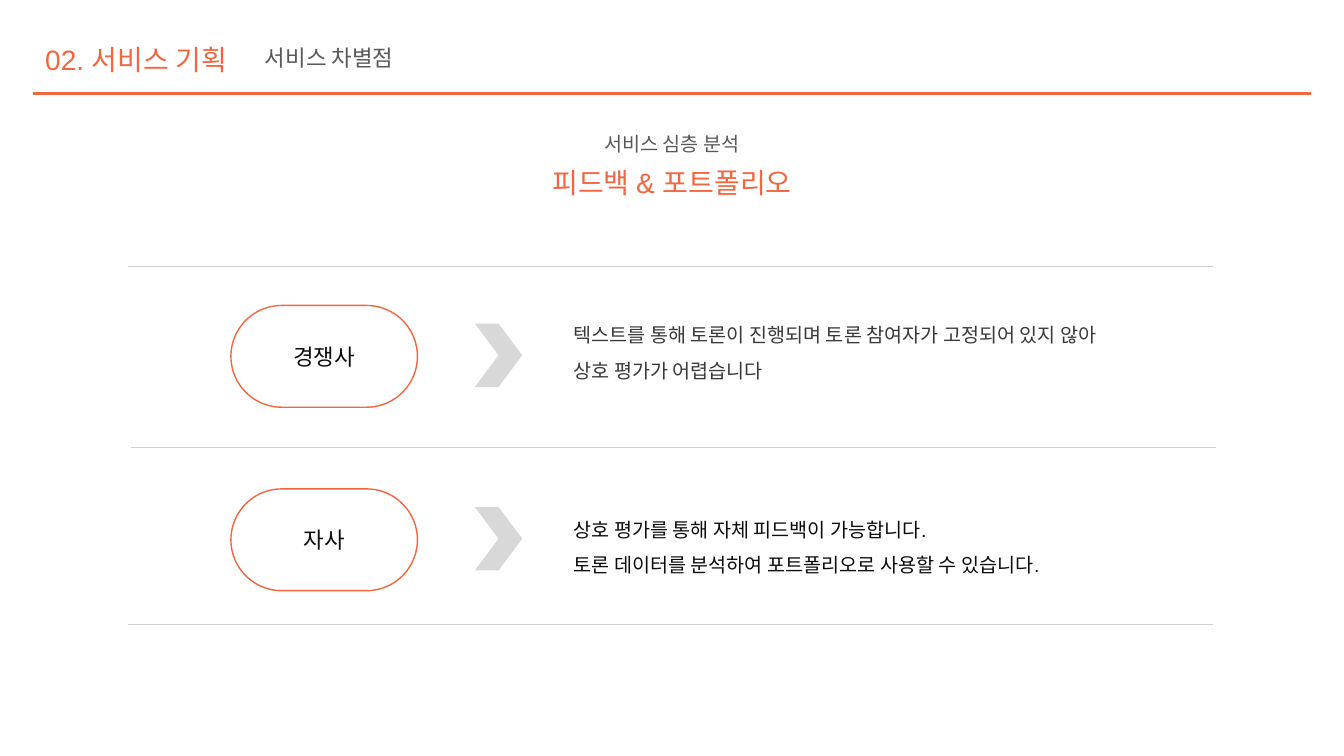
from lxml import etree
from pptx import Presentation
from pptx.dml.color import RGBColor
from pptx.enum.shapes import MSO_CONNECTOR, MSO_SHAPE
from pptx.enum.text import MSO_ANCHOR, MSO_AUTO_SIZE, PP_ALIGN
from pptx.oxml.ns import qn
from pptx.util import Inches, Pt

ORANGE = RGBColor(0xF2, 0x66, 0x40)
GREY = RGBColor(0x59, 0x59, 0x59)
DARK_GREY = RGBColor(0x3A, 0x38, 0x38)
NEAR_BLACK = RGBColor(0x0C, 0x0C, 0x0C)
RULE_GREY = RGBColor(0xD0, 0xCE, 0xCE)
CHEVRON_GREY = RGBColor(0xD8, 0xD8, 0xD8)

STRAIGHT = MSO_CONNECTOR.STRAIGHT
CHEVRON = MSO_SHAPE.CHEVRON
ROUNDED = MSO_SHAPE.ROUNDED_RECTANGLE
TOP, MIDDLE = MSO_ANCHOR.TOP, MSO_ANCHOR.MIDDLE
LEFT, CENTER = PP_ALIGN.LEFT, PP_ALIGN.CENTER
GROW = MSO_AUTO_SIZE.SHAPE_TO_FIT_TEXT

FONT = "Arial"
ROWS = [
    ("경쟁사", "텍스트를 통해 토론이 진행되며 토론 참여자가 고정되어 있지 않아 상호 평가가 어렵습니다",
     DARK_GREY, 3.03, (0.01, 5.49, 1.06)),
    ("자사", "상호 평가를 통해 자체 피드백이 가능합니다.\n토론 데이터를 분석하여 포트폴리오로 사용할 수 있습니다.",
     NEAR_BLACK, 4.85, (0.12, 6.45, 0.71)),
]
RULES = [(1.27, 2.64), (1.3, 4.44), (1.27, 6.2)]


def write(frame, text, size, color, align, anchor, spacing=None):
    """Fill a text frame with one styled paragraph."""
    frame.word_wrap = True
    frame.vertical_anchor = anchor
    paragraph = frame.paragraphs[0]
    paragraph.text = text
    paragraph.alignment = align
    if spacing:
        paragraph.line_spacing = spacing
    paragraph.font.name = FONT
    paragraph.font.size = Pt(size)
    paragraph.font.color.rgb = color


def add_text(slide, box, text, size, color, align=LEFT, anchor=TOP, spacing=None):
    """Add a text box that grows with its text."""
    frame = slide.shapes.add_textbox(*map(Inches, box)).text_frame
    write(frame, text, size, color, align, anchor, spacing)
    frame.auto_size = GROW


def add_rule(slide, left, top, width, color, weight):
    """Draw a horizontal rule without a shadow."""
    rule = slide.shapes.add_connector(
        STRAIGHT, Inches(left), Inches(top), Inches(left + width), Inches(top))
    rule.line.color.rgb = color
    rule.line.width = Pt(weight)
    etree.SubElement(rule._element.spPr, qn("a:effectLst"))


def add_header(slide, left, top, width):
    """Place the section number, the page topic and the rule below them."""
    add_rule(slide, left, top + 0.69, width, ORANGE, 2)
    add_text(slide, (left + 2.2, top + 0.04, 6.67, 0.45), "서비스 차별점",
             16, GREY, anchor=MIDDLE, spacing=1.5)
    add_text(slide, (left + 0.02, top, 2.13, 0.54), "02. 서비스 기획",
             20, ORANGE, anchor=MIDDLE, spacing=1.5)


def add_title(slide, left, top, width):
    """Place the centred lead-in and the title."""
    add_text(slide, (left, top, width, 0.34), "서비스 심층 분석", 14, GREY, CENTER)
    add_text(slide, (left, top + 0.33, width, 0.44), "피드백 & 포트폴리오", 20, ORANGE, CENTER)


def add_row(slide, left, top, company, description, color, description_box):
    """Place a company pill, a chevron and the description."""
    pill = slide.shapes.add_shape(
        ROUNDED, Inches(left), Inches(top), Inches(1.85), Inches(1.01))
    pill.adjustments[0] = 0.5
    pill.shadow.inherit = False
    pill.fill.background()
    pill.line.color.rgb = ORANGE
    pill.line.width = Pt(1)
    write(pill.text_frame, company, 16, NEAR_BLACK, CENTER, MIDDLE)

    chevron = slide.shapes.add_shape(
        CHEVRON, Inches(left + 2.42), Inches(top + 0.18), Inches(0.47), Inches(0.63))
    chevron.shadow.inherit = False
    chevron.fill.solid()
    chevron.fill.fore_color.rgb = CHEVRON_GREY
    chevron.line.fill.background()

    offset, width, height = description_box
    add_text(slide, (left + 3.3, top + offset, width, height), description,
             14, color, spacing=1.5)


def main():
    """Build and save the comparison slide."""
    deck = Presentation()
    deck.slide_width, deck.slide_height = Inches(13.33), Inches(7.5)
    slide = deck.slides.add_slide(deck.slide_layouts[6])
    add_header(slide, 0.33, 0.24, 12.67)
    add_title(slide, 4.47, 1.26, 4.39)
    for left, top in RULES:
        add_rule(slide, left, top, 10.76, RULE_GREY, 0.75)
    for company, description, color, top, description_box in ROWS:
        add_row(slide, 2.29, top, company, description, color, description_box)
    deck.save("out.pptx")


if __name__ == "__main__":
    main()
